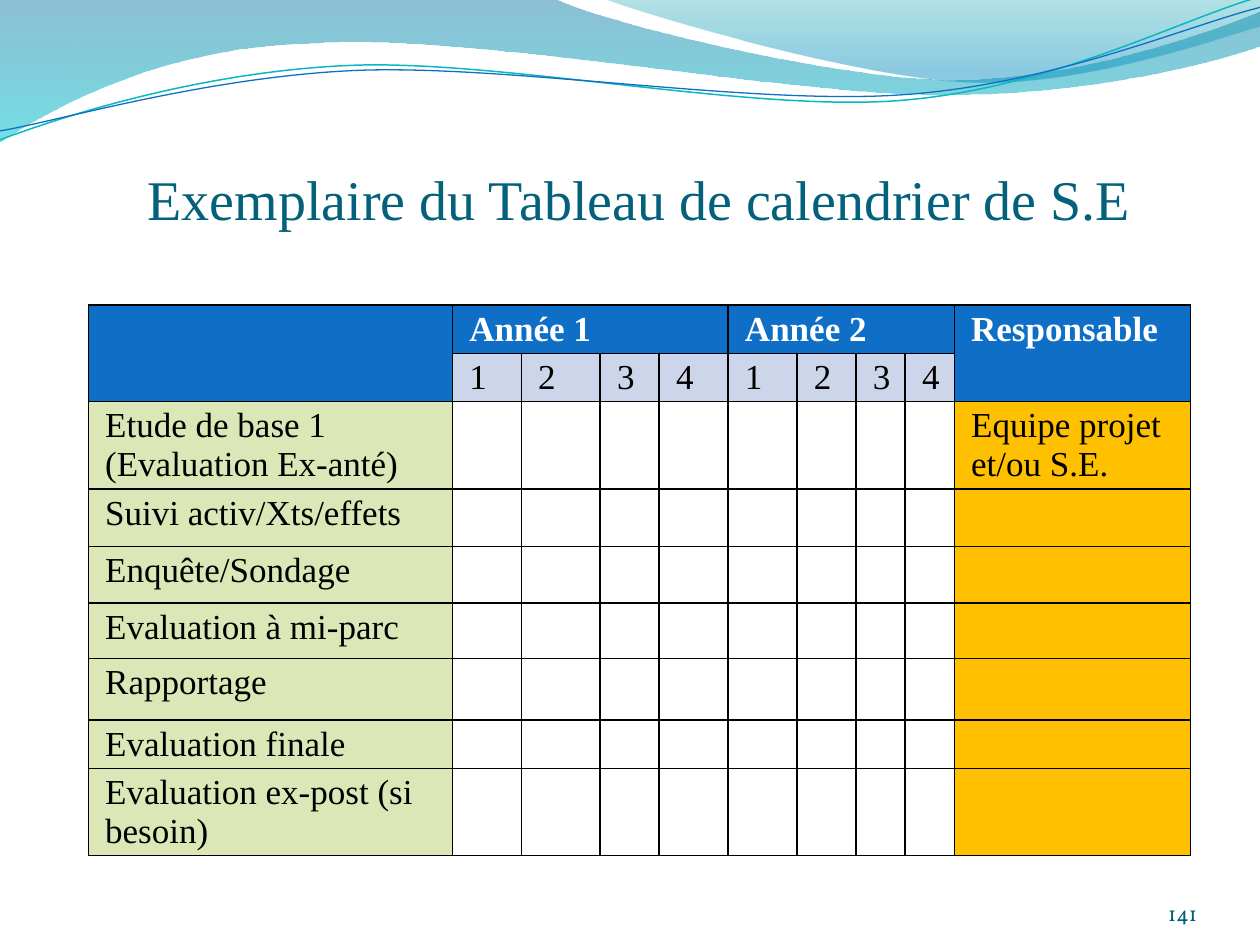
from lxml import etree
from pptx import Presentation
from pptx.dml.color import RGBColor
from pptx.enum.text import MSO_ANCHOR, PP_ALIGN
from pptx.oxml.ns import qn
from pptx.util import Cm, Pt

CENTER, RIGHT = PP_ALIGN.CENTER, PP_ALIGN.RIGHT
BOTTOM = MSO_ANCHOR.BOTTOM
SERIF = "Times New Roman"
BLUE, PALE_BLUE, GREEN, ORANGE = "0F6FC6", "CCD5EA", "DBE7B6", "FFC000"
BLACK, WHITE = "000000", "FFFFFF"

# Outlines in cm: a start point, then lines (1 point) and Bézier curves (3 points)
LEFT_WAVE = [
    (0, 0), [(11.18, -0.03)],
    [(12.09, 0.43), (16.87, 1.6), (19.25, 1.6)],
    [(21.67, 1.6), (24.33, 0.66), (25.4, 0.23)],
    [(25.43, 0.91)],
    [(24.97, 1.12), (22.1, 1.93), (18.95, 1.91)],
    [(15.8, 1.91), (9.7, 0.71), (6.53, 0.86)],
    [(3.28, 0.91), (1.17, 2.11), (-0.03, 2.87)],
]
RIGHT_WAVE = [
    (12.17, -0.03),
    [(12.93, 0.28), (17.32, 1.57), (19.53, 1.65)],
    [(21.74, 1.75), (24.41, 0.81), (25.4, 0.53)],
    [(25.4, 0)],
]
TEAL_LINE = [
    (0, 2.82),
    [(1.22, 2.36), (4.01, 1.45), (7.04, 1.32)],
    [(10.03, 1.19), (15.06, 2.26), (18.11, 2.03)],
    [(21.16, 1.8), (23.83, 0.38), (25.35, -0.05)],
]
BLUE_LINE = [
    (0, 2.64),
    [(1.19, 2.44), (4.17, 1.55), (7.19, 1.42)],
    [(10.24, 1.3), (15.16, 2.13), (18.21, 1.91)],
    [(21.23, 1.7), (23.9, 0.53), (25.4, 0.15)],
]

COLUMN_WIDTHS = [7.34, 1.39, 1.59, 1.19, 1.39, 1.39, 1.19, 0.99, 0.99, 4.76]
# Minimum heights: rows grow with their text
ROW_HEIGHTS = [0.76, 0.76, 1.02, 1.16, 1.14, 1.12, 1.24, 0.97, 0.97]
TABLE_HEIGHT = 11.56
YEARS = {1: "Année 1", 5: "Année 2"}
QUARTERS = 4
ACTIVITIES = [
    ("Etude de base 1 (Evaluation Ex-anté)", "Equipe projet et/ou S.E."),
    ("Suivi activ/Xts/effets", ""),
    ("Enquête/Sondage", ""),
    ("Evaluation à mi-parc", ""),
    ("Rapportage", ""),
    ("Evaluation finale", ""),
    ("Evaluation ex-post (si besoin)", ""),
]


def color(value):
    return RGBColor.from_string(value)


def set_font(paragraph, name, size, value, bold=False):
    font = paragraph.font
    font.name, font.size, font.bold = name, Pt(size), bold
    font.color.rgb = color(value)


def add_outline(slide, outline, close):
    points = [outline[0]] + [point for segment in outline[1:] for point in segment]
    lengths = [(Cm(x), Cm(y)) for x, y in points]
    builder = slide.shapes.build_freeform(*lengths[0])
    builder.add_line_segments(lengths[1:], close=close)
    shape = builder.convert_to_shape()
    shape.shadow.inherit = False
    # Join each three points of a curve into one Bézier segment
    lines = iter(list(shape.element.spPr.iter(qn("a:lnTo"))))
    for segment in outline[1:]:
        parts = [next(lines) for _ in segment]
        if len(parts) == 3:
            curve = etree.Element(qn("a:cubicBezTo"))
            parts[0].addprevious(curve)
            for part in parts:
                curve.append(part[0])
                part.getparent().remove(part)
    return shape


def add_wave(slide, outline, stops):
    shape = add_outline(slide, outline, True)
    shape.line.fill.background()
    shape.fill.gradient()
    shape.fill.gradient_angle = 270
    for stop, (position, value, _) in zip(shape.fill.gradient_stops, stops):
        stop.position = position
        stop.color.rgb = color(value)
    # Opacity of each gradient stop
    for element, (_, _, opacity) in zip(shape.element.spPr.iter(qn("a:srgbClr")), stops):
        etree.SubElement(element, qn("a:alpha"), val=str(opacity * 1000))


def add_curve(slide, outline, value, width):
    shape = add_outline(slide, outline, False)
    shape.fill.background()
    shape.line.color.rgb = color(value)
    shape.line.width = Pt(width)


def add_title(slide, text):
    title = slide.shapes.title
    title.left, title.top, title.width, title.height = Cm(1.78), Cm(2.59), Cm(22.23), Cm(2.08)
    frame = title.text_frame
    frame.text = text
    frame.vertical_anchor = BOTTOM
    frame.margin_left = frame.margin_right = frame.margin_bottom = 0
    frame.paragraphs[0].alignment = CENTER
    set_font(frame.paragraphs[0], SERIF, 32, "04617B")


def add_borders(cell):
    properties = cell._tc.get_or_add_tcPr()
    for side in ("a:lnL", "a:lnR", "a:lnT", "a:lnB"):
        line = etree.SubElement(properties, qn(side), w=str(Pt(1)))
        fill = etree.SubElement(line, qn("a:solidFill"))
        etree.SubElement(fill, qn("a:srgbClr"), val=BLACK)


def fill_cell(cell, text, background, header):
    add_borders(cell)
    cell.fill.solid()
    cell.fill.fore_color.rgb = color(background)
    cell.margin_left = cell.margin_right = Cm(0.34)
    cell.margin_top, cell.margin_bottom = Cm(0.1), Cm(0.09)
    if text:
        cell.text = text
        set_font(cell.text_frame.paragraphs[0], SERIF, 20, WHITE if header else BLACK, header)


def add_calendar(slide):
    last = len(COLUMN_WIDTHS) - 1
    quarter_columns = range(1, last)
    # Rows of text: two header rows, then one row for each activity
    rows = [
        [YEARS.get(column, "") for column in range(last)] + ["Responsable"],
        [""] + [str((column - 1) % QUARTERS + 1) for column in quarter_columns] + [""],
    ]
    rows += [[name] + [""] * len(quarter_columns) + [owner] for name, owner in ACTIVITIES]

    table_frame = slide.shapes.add_table(
        len(rows), len(COLUMN_WIDTHS), Cm(1.78), Cm(6.15),
        Cm(sum(COLUMN_WIDTHS)), Cm(TABLE_HEIGHT))
    table = table_frame.table
    table.first_row = table.horz_banding = False
    for column, width in zip(table.columns, COLUMN_WIDTHS):
        column.width = Cm(width)
    for row, height in zip(table.rows, ROW_HEIGHTS):
        row.height = Cm(height)
    table_frame.height = Cm(TABLE_HEIGHT)

    for i, texts in enumerate(rows):
        for j, text in enumerate(texts):
            header = i == 0 or (i == 1 and j in (0, last))
            if header:
                background = BLUE
            elif i == 1:
                background = PALE_BLUE
            else:
                background = {0: GREEN, last: ORANGE}.get(j, WHITE)
            fill_cell(table.cell(i, j), text, background, header)

    # Header cells that span rows or quarters
    for column in (0, last):
        table.cell(0, column).merge(table.cell(1, column))
    for column in YEARS:
        table.cell(0, column).merge(table.cell(0, column + QUARTERS - 1))


def add_page_number(slide, text):
    frame = slide.shapes.add_textbox(Cm(22.02), Cm(17.65), Cm(2.11), Cm(1.02)).text_frame
    frame.word_wrap = True
    frame.vertical_anchor = BOTTOM
    frame.margin_left = frame.margin_right = frame.margin_top = frame.margin_bottom = 0
    frame.text = text
    frame.paragraphs[0].alignment = RIGHT
    set_font(frame.paragraphs[0], "Vollkorn", 12, "045D75")


def main():
    presentation = Presentation()
    presentation.slide_width, presentation.slide_height = Cm(25.4), Cm(19.05)
    slide = presentation.slides.add_slide(presentation.slide_layouts[5])

    # Decorative header
    add_wave(slide, LEFT_WAVE, [(0, "0074A1", 45), (1, "00C6CF", 55)])
    add_wave(slide, RIGHT_WAVE, [(0, "00A1A9", 30), (0.8, "008BBF", 45)])
    add_curve(slide, TEAL_LINE, "0AB8BF", 0.85)
    add_curve(slide, BLUE_LINE, BLUE, 0.75)

    # Content
    add_title(slide, "Exemplaire du Tableau de calendrier de S.E")
    add_calendar(slide)
    add_page_number(slide, "141")
    presentation.save("out.pptx")


if __name__ == "__main__":
    main()
